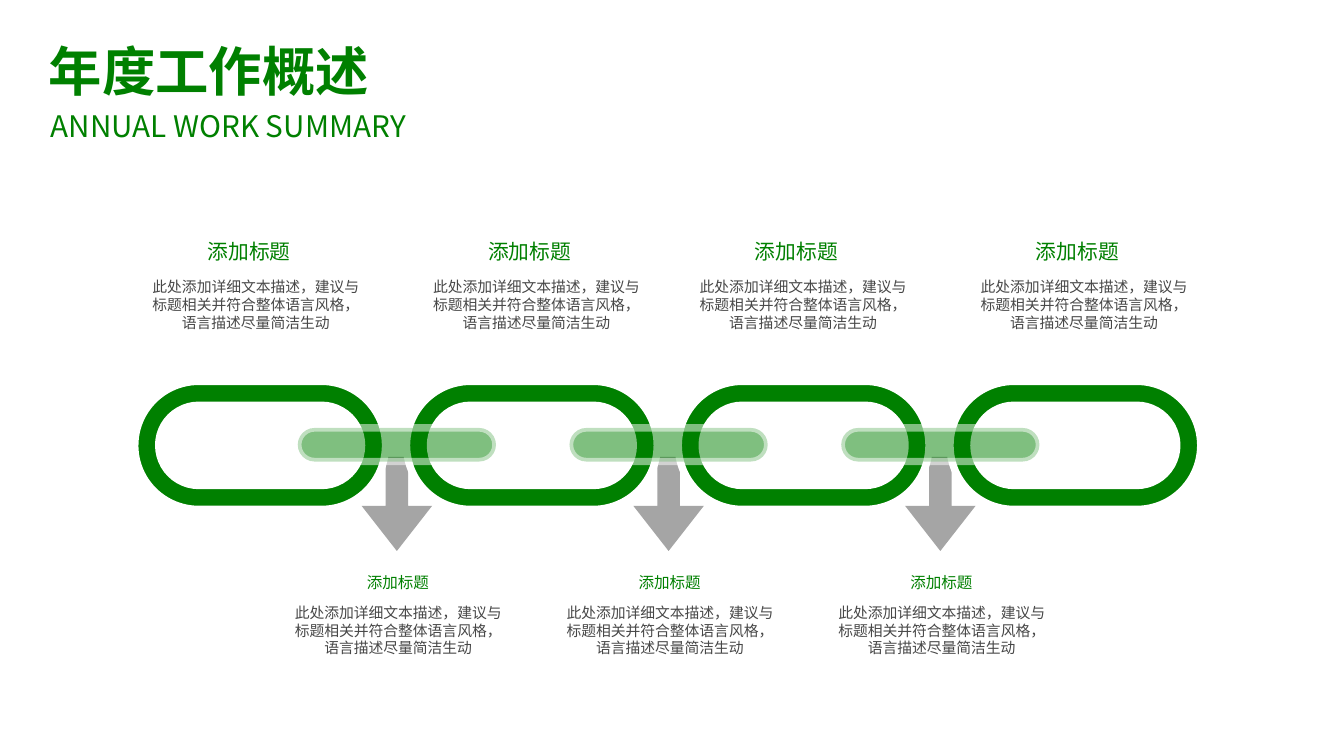
"""Build the annual work summary slide: a chain of four links with captions."""
import lxml.etree
import pptx
import pptx.dml.color
import pptx.enum.shapes
import pptx.enum.text
import pptx.oxml.ns
import pptx.util

Cm, Pt = pptx.util.Cm, pptx.util.Pt
MSO = pptx.enum.shapes.MSO_SHAPE
ANCHOR, ALIGN = pptx.enum.text.MSO_ANCHOR, pptx.enum.text.PP_ALIGN
RGB = pptx.dml.color.RGBColor.from_string
qn = pptx.oxml.ns.qn

COLORS = {"green": "008000", "gray": "A5A5A5", "text": "474747", "white": "FFFFFF"}
FONT = "Noto Sans CJK SC"
HEADING = "添加标题"
DETAIL = "此处添加详细文本描述，建议与标题相关并符合整体语言风格，语言描述尽量简洁生动"
PITCH = 6.47
LINK_LEFT, LINK_TOP, LINK_W, LINK_H, BAND = 3.21, 9.08, 5.97, 3.05, 0.57
BAR_W, BAR_H = 4.72, 0.8
ARROW_W, ARROW_H = 1.68, 2.24
QUARTER = 90 * 60000


def write(sp, box, text, size, color="green", align=ALIGN.CENTER,
          anchor=ANCHOR.TOP, inset=(0, 0), bold=False):
    """Place a text shape and fill it with one formatted run."""
    sp.left, sp.top, sp.width, sp.height = map(Cm, box)
    tf = sp.text_frame
    tf.word_wrap = True
    tf.auto_size = pptx.enum.text.MSO_AUTO_SIZE.NONE
    tf.vertical_anchor = anchor
    tf.margin_left = tf.margin_right = Cm(inset[0])
    tf.margin_top = tf.margin_bottom = Cm(inset[1])
    p = tf.paragraphs[0]
    p.alignment = align
    r = p.add_run()
    r.text = text
    r.font.size, r.font.bold, r.font.name = Pt(size), bold, FONT
    r.font.color.rgb = RGB(COLORS[color])
    ea = lxml.etree.SubElement(r.font._element, qn("a:ea"))
    ea.set("typeface", FONT)


def paint(sp, color, outlined=False):
    """Give a shape a flat fill and, if asked, a thick white outline."""
    sp.shadow.inherit = False
    sp.fill.solid()
    sp.fill.fore_color.rgb = RGB(COLORS[color])
    if outlined:
        sp.line.color.rgb = RGB(COLORS["white"])
        sp.line.width = Pt(5)
    else:
        sp.line.fill.background()


prs = pptx.Presentation()
prs.slide_width, prs.slide_height = Cm(32), Cm(18)
s = prs.slides.add_slide(prs.slide_layouts[5])

write(s.shapes.title, (0.88, 0.76, 10.13, 1.83), "年度工作概述", 36,
      align=ALIGN.LEFT, inset=(0.28, 0.15), bold=True)
write(s.shapes.add_textbox(0, 0, 0, 0), (1.21, 2.57, 10, 0.86),
      "ANNUAL WORK SUMMARY", 20, align=ALIGN.LEFT)

centers = [9.45 + PITCH * i for i in range(3)]
for center in centers:
    sp = s.shapes.add_shape(MSO.DOWN_ARROW, Cm(center - ARROW_W / 2), Cm(10.88),
                            Cm(ARROW_W), Cm(ARROW_H))
    sp.adjustments[0], sp.adjustments[1] = 0.32, 0.64
    paint(sp, "gray")

for i in range(4):
    left = LINK_LEFT + PITCH * i
    right, mid_y, radius = left + LINK_W, LINK_TOP + LINK_H / 2, LINK_H / 2
    end_left, end_right = left + radius, right - radius
    fb = s.shapes.build_freeform(Cm(left), Cm(mid_y))
    arcs = []
    for inset, turn in ((0, 1), (BAND, -1)):
        r = radius - inset
        first, last = mid_y - turn * r, mid_y + turn * r
        start = (Cm(left + inset), Cm(mid_y))
        if inset:
            fb.move_to(*start)
        corners = [(end_left, first), (end_right, first), (right - inset, mid_y),
                   (end_right, last), (end_left, last)]
        fb.add_line_segments([(Cm(x), Cm(y)) for x, y in corners] + [start], close=True)
        arcs += [(r, 2, turn), None, (r, -turn % 4, turn),
                 (r, 0, turn), None, (r, turn % 4, turn)]
    sp = fb.convert_to_shape()
    for segment, arc in zip(list(sp._element.iter(qn("a:lnTo"))), arcs):
        if arc:
            r, quarter, turn = arc
            curve = lxml.etree.Element(qn("a:arcTo"))
            for key, value in (("wR", Cm(r)), ("hR", Cm(r)),
                               ("stAng", quarter * QUARTER), ("swAng", turn * QUARTER)):
                curve.set(key, str(int(value)))
            segment.getparent().replace(segment, curve)
    paint(sp, "green", outlined=True)

for center in centers:
    sp = s.shapes.add_shape(MSO.ROUNDED_RECTANGLE, Cm(center - BAR_W / 2),
                            Cm(10.19), Cm(BAR_W), Cm(BAR_H))
    sp.adjustments[0] = 0.5
    paint(sp, "green", outlined=True)
    for color in sp._element.spPr.iter(qn("a:srgbClr")):
        lxml.etree.SubElement(color, qn("a:alpha")).set("val", "50000")

for left in (3.19, 9.87, 16.22, 22.91):
    write(s.shapes.add_textbox(0, 0, 0, 0), (left + 0.32, 6.61, 5.16, 1.27),
          DETAIL, 10, "text")
    write(s.shapes.add_textbox(0, 0, 0, 0), (left, 5.58, 5.49, 0.81),
          HEADING, 14, anchor=ANCHOR.MIDDLE, inset=(0, 0.13))

for center in centers:
    write(s.shapes.add_textbox(0, 0, 0, 0), (center - 2.03, 13.64, 4.11, 0.46),
          HEADING, 10.5)
    write(s.shapes.add_textbox(0, 0, 0, 0), (center - 2.55, 14.37, 5.16, 1.27),
          DETAIL, 10, "text")

prs.save("out.pptx")
